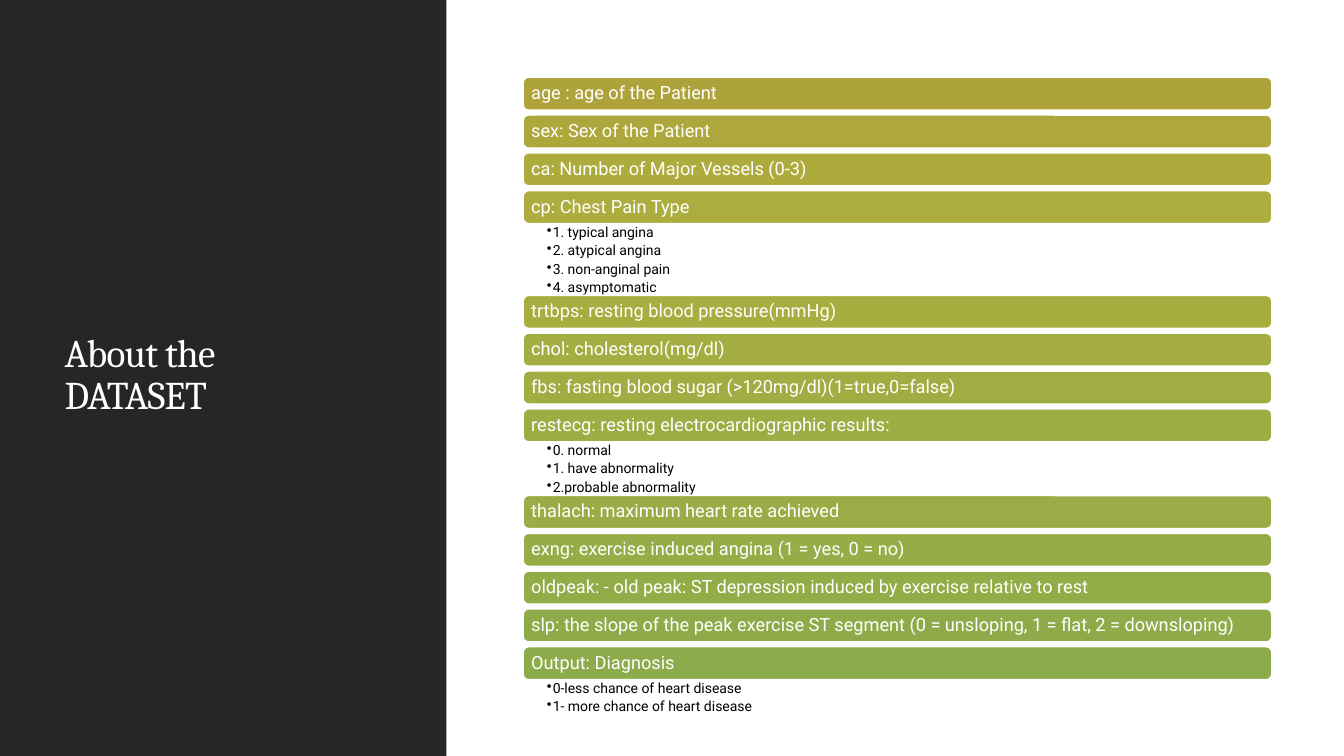
from lxml.etree import SubElement
from pptx import Presentation
from pptx.dml.color import RGBColor
from pptx.enum.shapes import MSO_SHAPE
from pptx.enum.text import MSO_ANCHOR, MSO_AUTO_SIZE, PP_ALIGN
from pptx.oxml.ns import qn
from pptx.util import Pt

PX = 4572  # 200 px to the inch
WIDE, HIGH = 2667, 1500
BAR, GAP, LINE = 66, 9, 36

WHITE = RGBColor(0xFF, 0xFF, 0xFF)
BLACK = RGBColor(0x00, 0x00, 0x00)
DARK = RGBColor(0x26, 0x26, 0x26)
SHADES = [RGBColor.from_string(code) for code in (
    "AEA33A AEA73B AEAB3D ACAD3E A8AD3F A4AD41 A1AD42 "
    "9DAC43 99AC45 96AC46 92AC47 8FAB49 8CAB4A").split()]

FIELDS = [
    ("age : age of the Patient", []),
    ("sex: Sex of the Patient", []),
    ("ca: Number of Major Vessels (0-3)", []),
    ("cp: Chest Pain Type", [
        "1. typical angina", "2. atypical angina",
        "3. non-anginal pain", "4. asymptomatic"]),
    ("trtbps: resting blood pressure(mmHg)", []),
    ("chol: cholesterol(mg/dl)", []),
    ("fbs: fasting blood sugar (>120mg/dl)(1=true,0=false)", []),
    ("restecg: resting electrocardiographic results:", [
        "0. normal", "1. have abnormality", "2.probable abnormality"]),
    ("thalach: maximum heart rate achieved", []),
    ("exng: exercise induced angina (1 = yes, 0 = no)", []),
    ("oldpeak: - old peak: ST depression induced by exercise relative to rest", []),
    ("slp: the slope of the peak exercise ST segment "
     "(0 = unsloping, 1 = flat, 2 = downsloping)", []),
    ("Output: Diagnosis", [
        "0-less chance of heart disease", "1- more chance of heart disease"]),
]


def scale(*box):
    return [n * PX for n in box]


def inset(frame, *sides):
    (frame.margin_left, frame.margin_top,
     frame.margin_right, frame.margin_bottom) = scale(*sides)
    frame.word_wrap = True


def add_run(para, text, font, size, color):
    para.alignment = PP_ALIGN.LEFT
    para.line_spacing = 0.9
    run = para.add_run()
    run.text = text
    run.font.name = font
    run.font.size = Pt(size)
    run.font.color.rgb = color
    return run


def add_panel(slide, x, y, w, h):
    panel = slide.shapes.add_shape(MSO_SHAPE.RECTANGLE, *scale(x, y, w, h))
    panel.shadow.inherit = False
    panel.fill.solid()
    panel.fill.fore_color.rgb = DARK
    panel.line.fill.background()

    # Title sits on top of the panel
    title = slide.shapes.title
    title.left, title.top, title.width, title.height = scale(
        x + 108, y + 114, 436, h - 238)
    slide.shapes._spTree.append(title._element)
    frame = title.text_frame
    inset(frame, 20, 10, 20, 10)
    frame.auto_size = MSO_AUTO_SIZE.NONE
    frame.vertical_anchor = MSO_ANCHOR.MIDDLE
    run = add_run(frame.paragraphs[0], "About the DATASET", "Cambria", 28, WHITE)
    run.font._element.set("spc", "-50")


def add_bar(slide, x, y, w, text, shade):
    bar = slide.shapes.add_shape(
        MSO_SHAPE.ROUNDED_RECTANGLE, *scale(x, y, w, BAR))
    bar.shadow.inherit = False
    bar.fill.solid()
    bar.fill.fore_color.rgb = shade
    bar.line.color.rgb = WHITE
    bar.line.width = Pt(1.25)
    frame = bar.text_frame
    inset(frame, 13, 10, 13, 10)
    frame.vertical_anchor = MSO_ANCHOR.MIDDLE
    add_run(frame.paragraphs[0], text, "Roboto", 13, WHITE)


def add_list(slide, x, y, w, h, items):
    frame = slide.shapes.add_textbox(*scale(x, y, w, h)).text_frame
    inset(frame, 47, 3, 20, 3)
    for i, item in enumerate(items):
        para = frame.paragraphs[0] if i == 0 else frame.add_paragraph()
        add_run(para, item, "Roboto", 10, BLACK)
        para.space_after = Pt(2.3)
        props = para._p.get_or_add_pPr()
        props.set("marL", str(12 * PX))
        props.set("indent", str(-12 * PX))
        SubElement(props, qn("a:buChar")).set("char", "•")


def add_fields(slide, x, y, w):
    for (text, items), shade in zip(FIELDS, SHADES):
        add_bar(slide, x, y, w, text, shade)
        y += BAR
        if items:
            tall = LINE * len(items) - 2
            add_list(slide, x, y, w, tall, items)
            y += tall
        else:
            y += GAP


def main():
    deck = Presentation()
    deck.slide_width, deck.slide_height = scale(WIDE, HIGH)
    slide = deck.slides.add_slide(deck.slide_layouts[5])
    slide.background.fill.solid()
    slide.background.fill.fore_color.rgb = WHITE
    # Left: title panel; right: dataset fields
    add_panel(slide, 0, 0, 886, HIGH)
    add_fields(slide, 1038, 153, 1486)
    deck.save("out.pptx")


if __name__ == "__main__":
    main()
